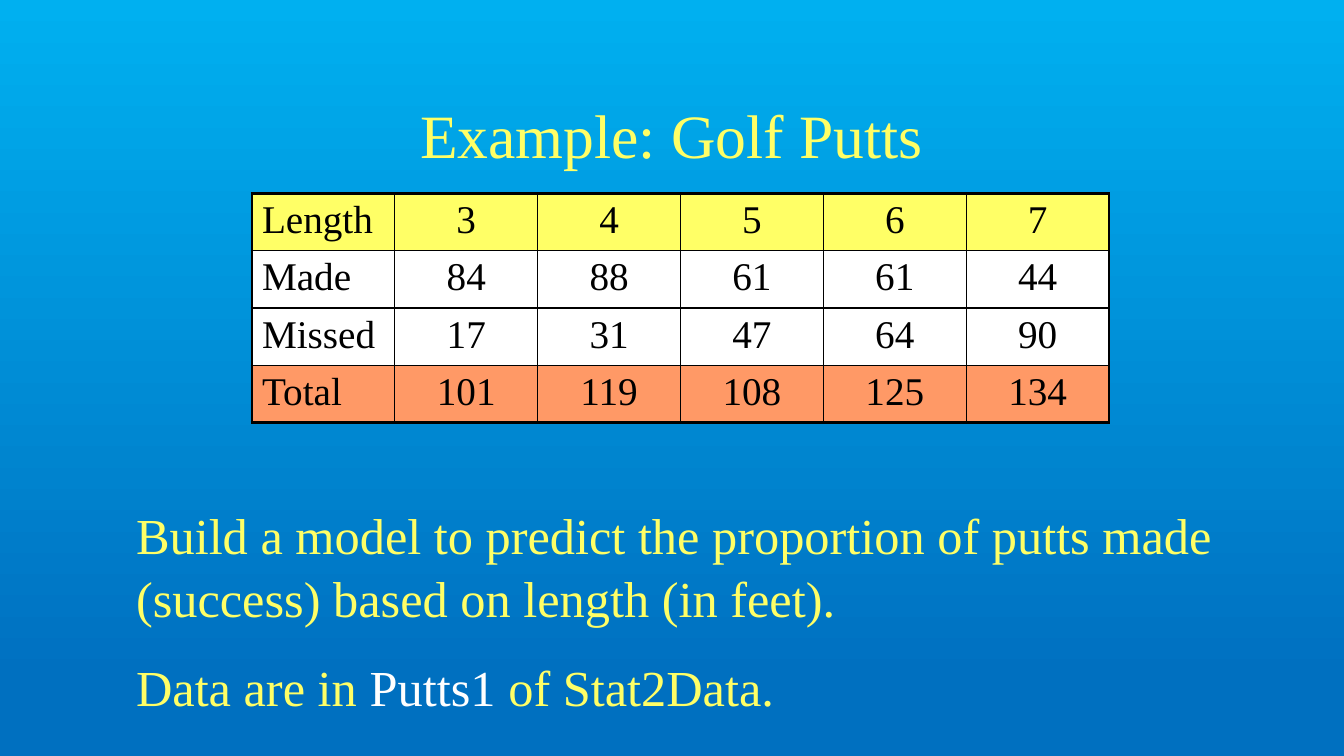
"""Build the golf putts example slide."""
import pptx
import pptx.util
import pptx.dml.color
import pptx.enum.text
import pptx.oxml
import pptx.oxml.ns

Cm, Pt = pptx.util.Cm, pptx.util.Pt
ALIGN = pptx.enum.text.PP_ALIGN
ANCHOR = pptx.enum.text.MSO_ANCHOR
YELLOW, WHITE, ORANGE, BLACK = "FFFF66", "FFFFFF", "FF9966", "000000"


def rgb(value):
    return pptx.dml.color.RGBColor.from_string(value)


def add_run(p, text, size, color):
    r = p.add_run()
    r.text = text
    for name, value in {"name": "Times New Roman", "size": Pt(size)}.items():
        setattr(r.font, name, value)
    r.font.color.rgb = rgb(color)


prs = pptx.Presentation()
prs.slide_width, prs.slide_height = Cm(33.87), Cm(19.05)
s = prs.slides.add_slide(prs.slide_layouts[6])

bg = s.background.fill
bg.gradient()
bg.gradient_angle = 270
for stop, (position, color) in zip(bg.gradient_stops, [(0, "00B0F0"), (0.9, "0070C0")]):
    stop.position = position
    stop.color.rgb = rgb(color)

title = s.shapes.add_textbox(Cm(2.54), Cm(1.7), Cm(28.78), Cm(3.18))
tf = title.text_frame
for name, value in {"word_wrap": True, "vertical_anchor": ANCHOR.MIDDLE}.items():
    setattr(tf, name, value)
p = tf.paragraphs[0]
for name, value in {"alignment": ALIGN.CENTER, "line_spacing": 1.1}.items():
    setattr(p, name, value)
add_run(p, "Example: Golf Putts", 44, YELLOW)

putts = [
    (YELLOW, ["Length", 3, 4, 5, 6, 7]),
    (WHITE, ["Made", 84, 88, 61, 61, 44]),
    (WHITE, ["Missed", 17, 31, 47, 64, 90]),
    (ORANGE, ["Total", 101, 119, 108, 125, 134]),
]
rows, cols = len(putts), len(putts[0][1])
tbl = s.shapes.add_table(rows, cols, Cm(6.35), Cm(4.88), Cm(3.6 * cols), Cm(1.44 * rows)).table
for col in tbl.columns:
    col.width = Cm(3.6)
for i, (fill, values) in enumerate(putts):
    tbl.rows[i].height = Cm(1.44)
    for j, value in enumerate(values):
        cell = tbl.cell(i, j)
        tc_pr = cell._tc.get_or_add_tcPr()
        outer = {"L": j == 0, "R": j == cols - 1, "T": i == 0, "B": i == rows - 1}
        for side, is_outer in outer.items():
            width = Pt(2.25 if is_outer else 1)
            tc_pr.append(pptx.oxml.parse_xml(
                f'<a:ln{side} {pptx.oxml.ns.nsdecls("a")} w="{width}"><a:solidFill>'
                f'<a:srgbClr val="{BLACK}"/></a:solidFill></a:ln{side}>'))
        cell.fill.solid()
        cell.fill.fore_color.rgb = rgb(fill)
        p = cell.text_frame.paragraphs[0]
        p.alignment = ALIGN.CENTER if j else ALIGN.LEFT
        add_run(p, str(value), 28, BLACK)

task = s.shapes.add_textbox(Cm(3.18), Cm(12.5), Cm(27.94), Cm(5.59))
tf = task.text_frame
tf.word_wrap = True
p = tf.paragraphs[0]
p.line_spacing = 1.05
add_run(p, "Build a model to predict the proportion of putts made "
           "(success) based on length (in feet).", 36, YELLOW)
p = tf.add_paragraph()
for name, value in {"line_spacing": 1.05, "space_before": Pt(18)}.items():
    setattr(p, name, value)
for text, color in [("Data are in ", YELLOW), ("Putts1 ", WHITE), ("of Stat2Data.", YELLOW)]:
    add_run(p, text, 36, color)

prs.save("out.pptx")
